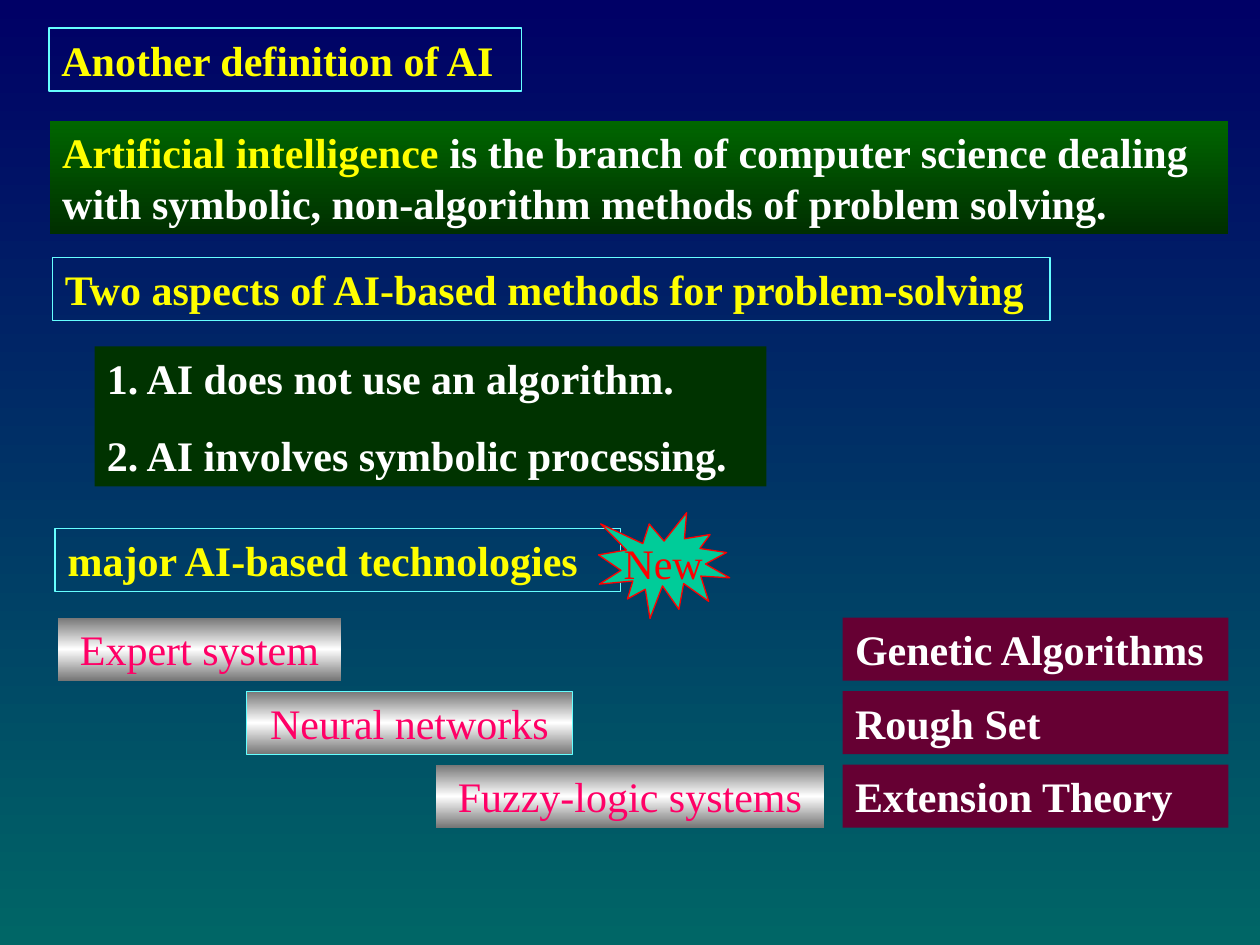
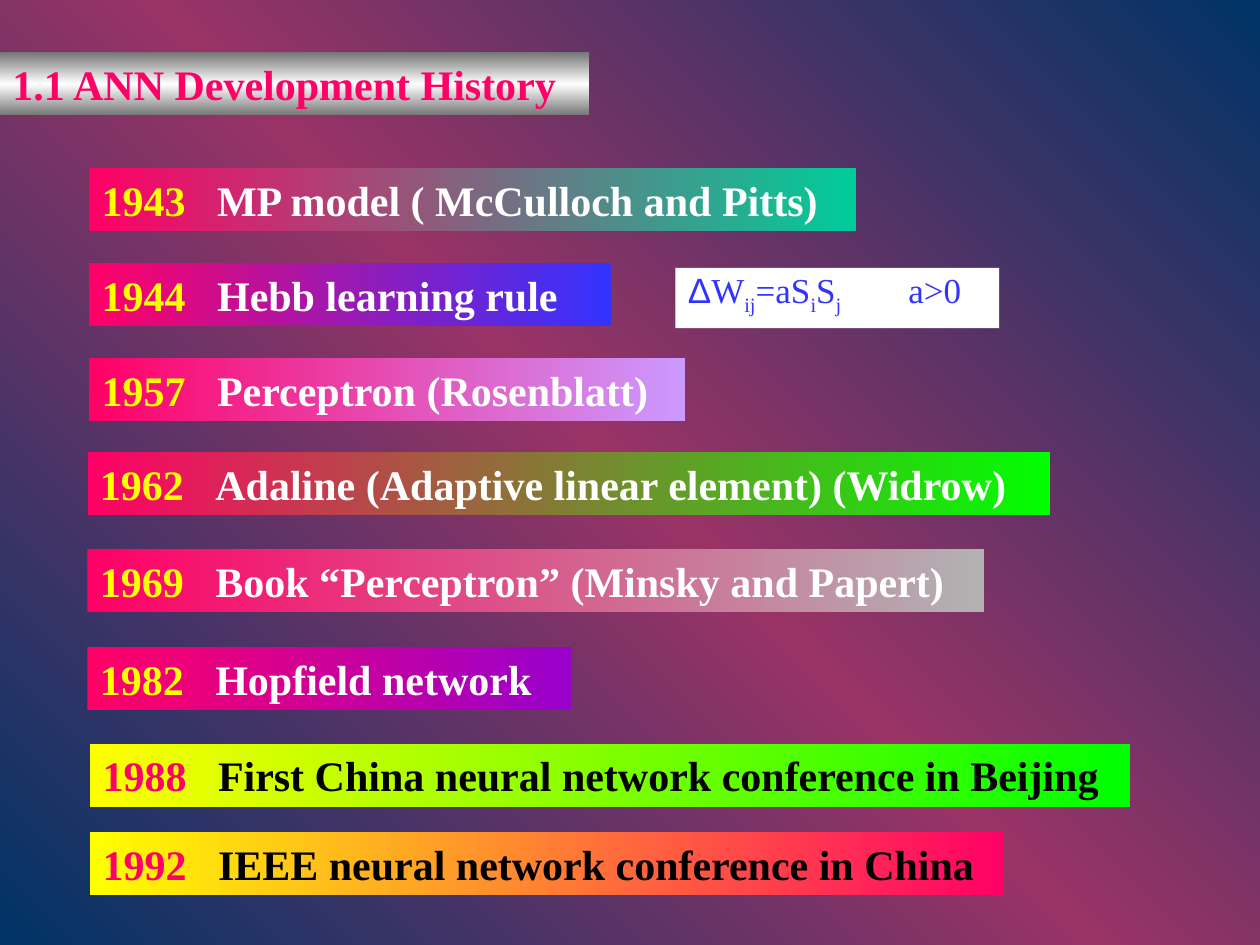
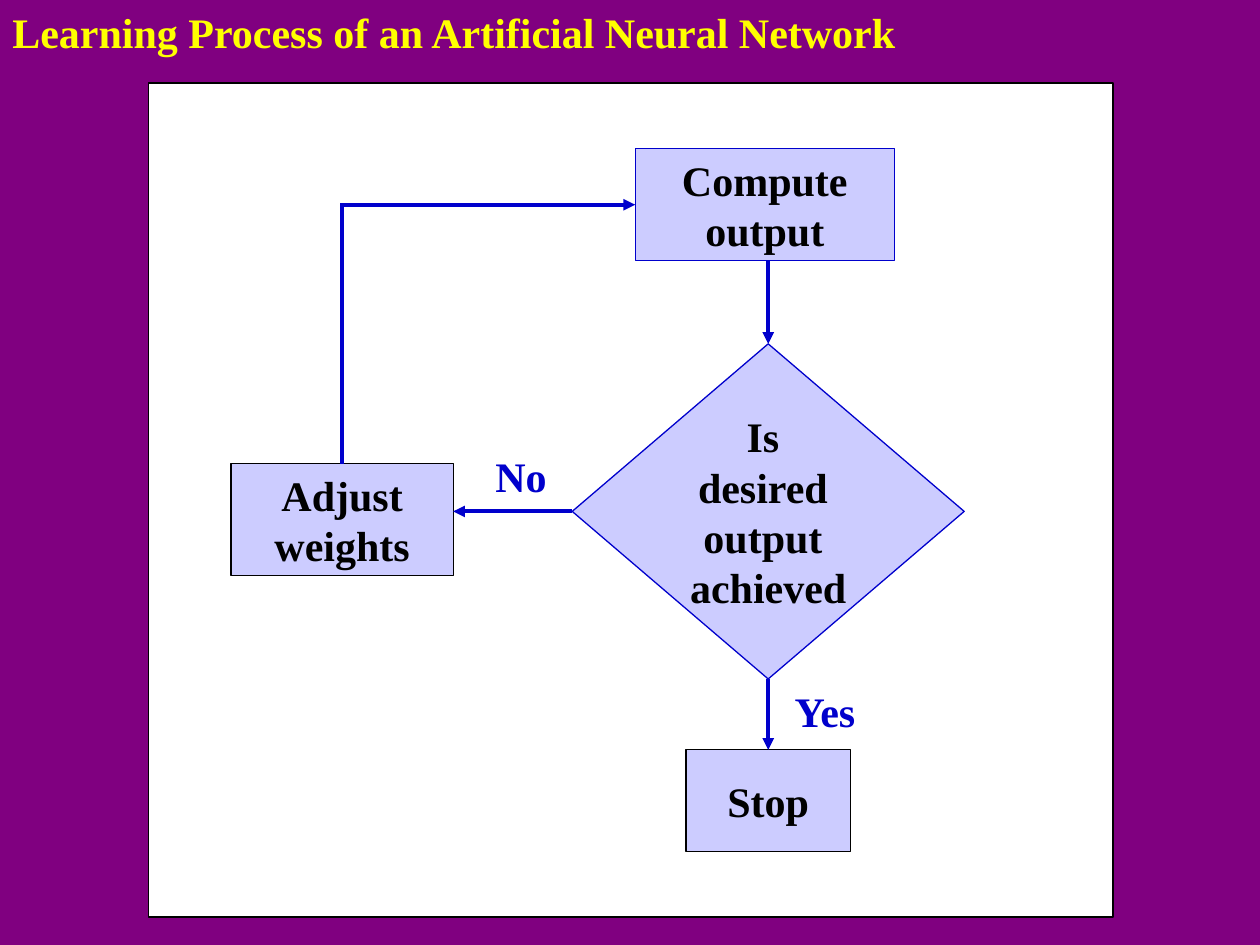
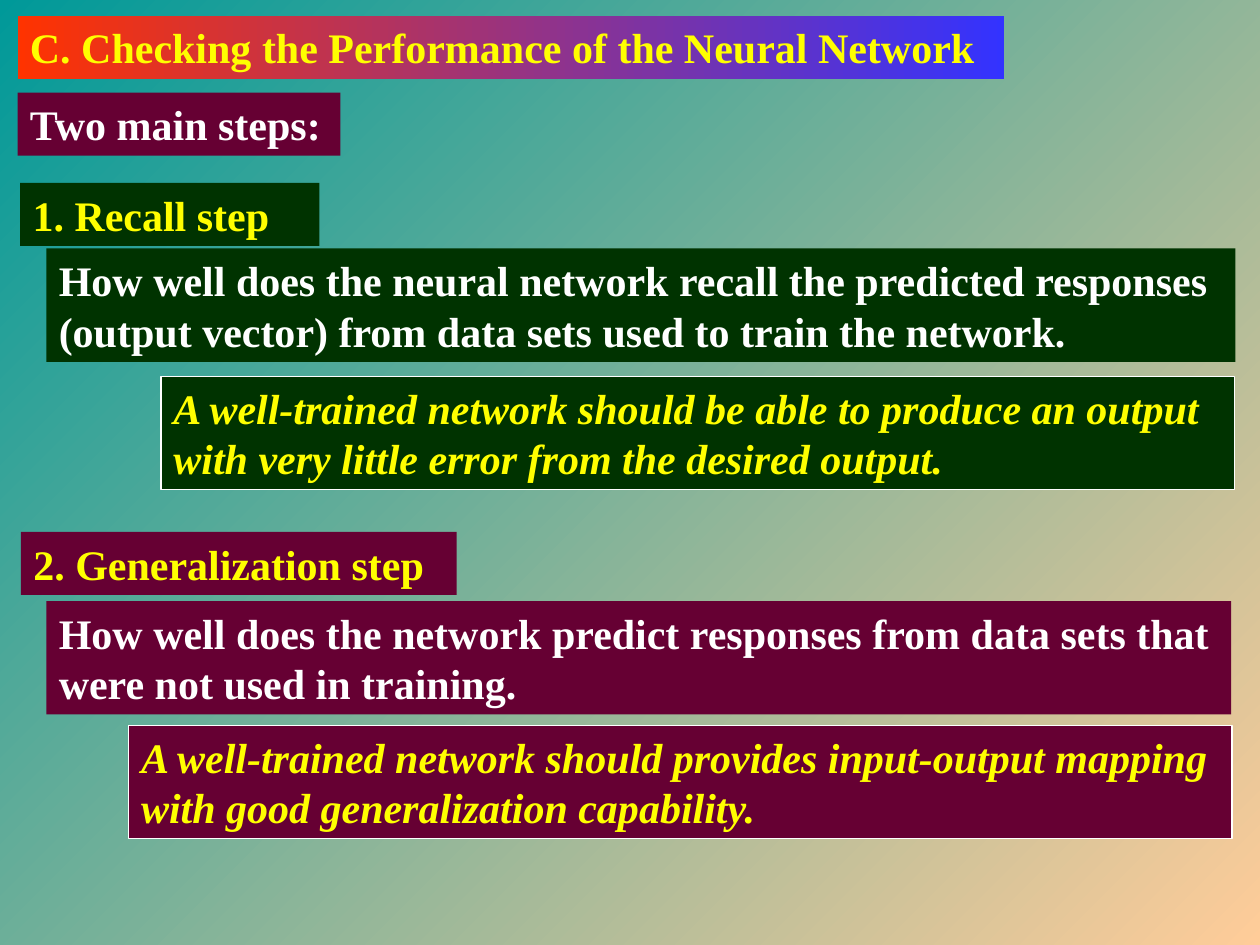
from copy import deepcopy

from lxml import etree
from pptx import Presentation
from pptx.dml.color import RGBColor
from pptx.enum.shapes import MSO_CONNECTOR, MSO_SHAPE
from pptx.enum.text import MSO_ANCHOR, PP_ALIGN
from pptx.oxml.ns import qn
from pptx.util import Pt

RECT = MSO_SHAPE.RECTANGLE
BURST = MSO_SHAPE.EXPLOSION1
DIAMOND = MSO_SHAPE.DIAMOND
LINE = MSO_CONNECTOR.STRAIGHT
LEFT, CENTER = PP_ALIGN.LEFT, PP_ALIGN.CENTER
TOP, MIDDLE = MSO_ANCHOR.TOP, MSO_ANCHOR.MIDDLE

FONT = "Times New Roman"
HUES = {
    "white": "FFFFFF", "black": "000000", "yellow": "FFFF00", "pink": "FF0066",
    "red": "FF0000", "cyan": "66FFFF", "wine": "660033", "pine": "003300",
    "leaf": "006600", "moss": "002F00", "navy": "000066", "teal": "006666",
    "grey": "767676", "mint": "00CC99", "blue": "3333FF", "lilac": "CC99FF",
    "lime": "00FF00", "silver": "B2B2B2", "violet": "9900CC", "slate": "003366",
    "plum": "993366", "purple": "800080", "pale": "CCCCFF", "ink": "0000CC",
    "sea": "009999", "peach": "FFCC99", "flame": "FF3300",
}
RGB = {name: RGBColor.from_string(code) for name, code in HUES.items()}
STEEL = (270, "grey", "white", "grey")


def paint(fill, root, look):
    if look is None:
        fill.background()
    elif isinstance(look, str):
        fill.solid()
        fill.fore_color.rgb = RGB[look]
    else:
        angle, *names = look
        fill.gradient()
        fill.gradient_angle = angle
        stops = root.find(".//" + qn("a:gsLst"))
        for _ in names[2:]:
            stops.append(deepcopy(stops[0]))
        for i, (stop, name) in enumerate(zip(fill.gradient_stops, names)):
            stop.color.rgb = RGB[name]
            stop.position = i / (len(names) - 1)


def box(slide, at, text, ink, fill=None, edge=None, lead=None, kind=RECT, size=24,
        bold=True, slant=False, align=LEFT, mid=False, gap=0, tab=None):
    place = [Pt(v) for v in at]
    if kind is None:
        shape = slide.shapes.add_textbox(*place)
    else:
        shape = slide.shapes.add_shape(kind, *place)
        shape.shadow.inherit = False
        paint(shape.fill, shape._element, fill)
        paint(shape.line.fill, shape._element, edge)
        if edge:
            shape.line.width = Pt(0.75)
    frame = shape.text_frame
    frame.word_wrap = not mid
    frame.vertical_anchor = MIDDLE if mid else TOP
    for i, line in enumerate(text.split("\n")):
        para = frame.add_paragraph() if i else frame.paragraphs[0]
        if tab:
            tabs = etree.SubElement(para._p.get_or_add_pPr(), qn("a:tabLst"))
            etree.SubElement(tabs, qn("a:tab"), pos=str(Pt(tab)), algn="l")
        para.alignment = align
        para.line_spacing = Pt(size * 1.2)
        if i and gap:
            para.space_before = Pt(gap)
        font = para.font
        font.name, font.size = FONT, Pt(size)
        font.bold, font.italic = bold, slant
        font.color.rgb = RGB[ink]
        if lead:
            run = para.add_run()
            run.text = lead[0]
            run.font.color.rgb = RGB[lead[1]]
        para.add_run().text = line
    return shape


deck = Presentation()
deck.slide_width, deck.slide_height = Pt(720), Pt(540)
grounds = [
    (270, "navy", "teal"),
    (45, "slate", "plum", "slate"),
    "purple",
    (315, "sea", "peach"),
]
slides = []
for ground in grounds:
    slide = deck.slides.add_slide(deck.slide_layouts[6])
    paint(slide.background.fill, slide._element, ground)
    slides.append(slide)
about, past, flow, check = slides

for left, top, width, text in [
    (28, 16, 270, "Another definition of AI"),
    (30, 147, 570, "Two aspects of AI-based methods for problem-solving"),
    (31.5, 302, 323, "major AI-based technologies"),
]:
    box(about, (left, top, width, 36), text, "yellow", edge="cyan")
box(about, (28.5, 69, 673.5, 64.8),
    "is the branch of computer science dealing with symbolic, "
    "non-algorithm methods of problem solving.",
    "white", (270, "leaf", "moss"), lead=("Artificial intelligence ", "yellow"))
box(about, (54, 198, 384, 80),
    "1. AI does not use an algorithm.\n2. AI involves symbolic processing.",
    "white", "pine", gap=15)
for left, top, width, text, edge in [
    (33, 353, 162, "Expert system", None),
    (141, 395, 186, "Neural networks", "cyan"),
    (249, 437, 222, "Fuzzy-logic systems", None),
]:
    box(about, (left, top, width, 36), text, "pink", STEEL, edge, bold=False, align=CENTER)
for i, text in enumerate(["Genetic Algorithms", "Rough Set", "Extension Theory"]):
    box(about, (481.5, 353 + 42 * i, 220.5, 36), text, "white", "wine")
box(about, (342, 293, 75, 60.5), "New", "red", "mint", "red", kind=BURST,
    bold=False, align=CENTER, mid=True)

box(past, (0, 30, 336.5, 36), "1.1 ANN Development History", "pink", STEEL)
events = [
    (51, 96, 438, "1943", "MP model ( McCulloch and Pitts)", "mint"),
    (51, 150.5, 298, "1944", "Hebb learning rule", "blue"),
    (51, 204.5, 340.5, "1957", "Perceptron (Rosenblatt)", "lilac"),
    (50, 258.5, 550, "1962", "Adaline (Adaptive linear element) (Widrow)", "lime"),
    (50, 314, 512.5, "1969", "Book “Perceptron” (Minsky and Papert)", "silver"),
    (50, 370, 276.5, "1982", "Hopfield network", "violet"),
    (51.5, 425, 594.5, "1988", "First China neural network conference in Beijing", "lime"),
    (51.5, 475.5, 522.5, "1992", "IEEE neural network conference in China", "pink"),
]
for left, top, width, year, text, end in events:
    late = year > "1982"
    ink, mark, start = ("black", "pink", "yellow") if late else ("white", "yellow", "pink")
    box(past, (left, top, width, 36), "\t" + text, ink, (0, start, end),
        lead=(year, mark), tab=66)
rule = box(past, (386, 153, 185, 34.5), "Δ", "blue", "white", size=20, bold=False, tab=126)
para = rule.text_frame.paragraphs[0]
para.runs[0].font.name = "Arial"
for text, sub in [("W", 0), ("ij", 1), ("=aS", 0), ("i", 1), ("S", 0), ("j", 1), ("\ta>0", 0)]:
    run = para.add_run()
    run.text = text
    if sub:
        run.font._element.set("baseline", "-25000")

box(flow, (0, 0, 523.5, 36), "Learning Process of an Artificial Neural Network",
    "yellow", kind=None)
panel = flow.shapes.add_shape(RECT, Pt(85), Pt(47.5), Pt(551), Pt(476.5))
panel.shadow.inherit = False
paint(panel.fill, panel._element, "white")
paint(panel.line.fill, panel._element, "black")
panel.line.width = Pt(0.75)
nodes = {}
for name, at, text, edge, kind in [
    ("work", (363, 85, 148, 64), "Compute\noutput", "ink", RECT),
    ("test", (327, 196.5, 224, 191.5), "Is \ndesired \noutput \nachieved", "ink", DIAMOND),
    ("stop", (392, 428.5, 94, 58), "Stop", "black", RECT),
    ("tune", (132, 265, 127, 64), "Adjust\nweights", "black", RECT),
]:
    nodes[name] = box(flow, at, text, "black", "pale", edge, kind=kind,
                      align=CENTER, mid=True)
for ends, start, stop, arrow in [
    ((439, 149, 439, 196.5), None, ("test", 0), True),
    ((439, 388, 439, 428.5), ("test", 2), ("stop", 0), True),
    ((327, 292.25, 259, 292.25), ("test", 1), None, True),
    ((195.5, 265, 195.5, 117), ("tune", 0), None, False),
    ((194.5, 117, 363, 117), None, ("work", 1), True),
]:
    wire = flow.shapes.add_connector(LINE, *[Pt(v) for v in ends])
    if start:
        wire.begin_connect(nodes[start[0]], start[1])
    if stop:
        wire.end_connect(nodes[stop[0]], stop[1])
    wire.line.color.rgb = RGB["ink"]
    wire.line.width = Pt(2.25)
    if arrow:
        etree.SubElement(wire.line._get_or_add_ln(), qn("a:tailEnd"), type="triangle")
    etree.SubElement(wire._element.spPr, qn("a:effectLst"))
for left, top, width, text in [(276, 254, 50, "No"), (447, 388, 60, "Yes")]:
    box(flow, (left, top, width, 36), text, "ink", kind=None)

for left, top, width, text, ink, fill in [
    (10, 9, 564, "C. Checking the Performance of the Neural Network", "yellow",
     (0, "flame", "blue")),
    (10, 53, 184.5, "Two main steps:", "white", "wine"),
    (11.5, 104.5, 171, "1. Recall step", "yellow", "pine"),
    (12, 304, 249, "2. Generalization step", "yellow", "wine"),
]:
    box(check, (left, top, width, 36), text, ink, fill)
for left, top, width, text, fill, note in [
    (26.5, 142, 679.5, "How well does the neural network recall the predicted responses "
     "(output vector) from data sets used to train the network.", "pine", False),
    (26.5, 343.5, 677, "How well does the network predict responses from data sets that "
     "were not used in training.", "wine", False),
    (92, 215, 613.5, "A well-trained network should be able to produce an output "
     "with very little error from the desired output.", "pine", True),
    (73.5, 414.5, 630.5, "A well-trained network should provides input-output mapping "
     "with good generalization capability.", "wine", True),
]:
    box(check, (left, top, width, 64.8), text, "yellow" if note else "white", fill,
        "white" if note else None, slant=note)

deck.save("out.pptx")
